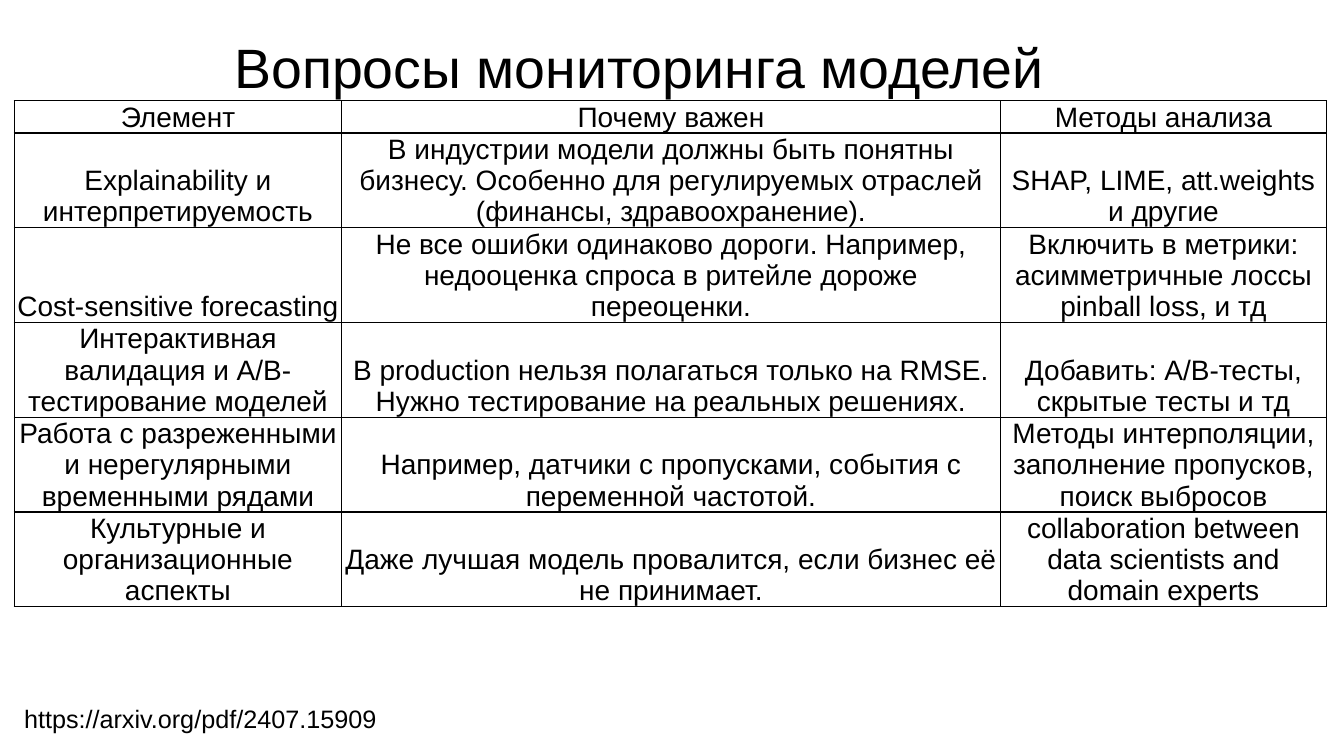
"""Build a slide with a table of model monitoring questions."""
from lxml import etree
from pptx import Presentation
from pptx.dml.color import RGBColor
from pptx.enum.text import MSO_ANCHOR, MSO_AUTO_SIZE, PP_ALIGN
from pptx.oxml.ns import qn
from pptx.util import Inches, Pt

BLACK = RGBColor(0x00, 0x00, 0x00)
CENTER, LEFT = PP_ALIGN.CENTER, PP_ALIGN.LEFT
MIDDLE, BOTTOM = MSO_ANCHOR.MIDDLE, MSO_ANCHOR.BOTTOM
GROW, FIXED = MSO_AUTO_SIZE.SHAPE_TO_FIT_TEXT, MSO_AUTO_SIZE.NONE

ROWS = [
    ("Элемент", "Почему важен", "Методы анализа"),
    ("Explainability и интерпретируемость",
     "В индустрии модели должны быть понятны бизнесу. "
     "Особенно для регулируемых отраслей (финансы, здравоохранение).",
     "SHAP, LIME, att.weights и другие"),
    ("Cost-sensitive forecasting",
     "Не все ошибки одинаково дороги. Например, "
     "недооценка спроса в ритейле дороже переоценки.",
     "Включить в метрики: асимметричные лоссы pinball loss, и тд"),
    ("Интерактивная валидация и A/B-тестирование моделей",
     "В production нельзя полагаться только на RMSE. "
     "Нужно тестирование на реальных решениях.",
     "Добавить: A/B-тесты, скрытые тесты и тд"),
    ("Работа с разреженными и нерегулярными временными рядами",
     "Например, датчики с пропусками, события с переменной частотой.",
     "Методы интерполяции, заполнение пропусков, поиск выбросов"),
    ("Культурные и организационные аспекты",
     "Даже лучшая модель провалится, если бизнес её не принимает.",
     "collaboration between data scientists and domain experts"),
]
WIDTHS = [3.25, 6.53, 3.24]
HEAD, BODY = 0.32, 0.93
CELL = {"margin_left": Inches(0.01), "margin_right": Inches(0.01),
        "margin_top": Inches(0.01), "margin_bottom": 0,
        "vertical_anchor": BOTTOM}


def write(frame, text, size, align):
    frame.text = text
    para = frame.paragraphs[0]
    para.alignment = align
    font = para.runs[0].font
    for key, value in {"name": "Arial", "size": Pt(size), "bold": False}.items():
        setattr(font, key, value)
    font.color.rgb = BLACK
    return para


def edge(cell):
    props = cell._tc.get_or_add_tcPr()
    for side in ("lnL", "lnR", "lnT", "lnB"):
        line = etree.SubElement(props, qn("a:" + side), w=str(Pt(1)))
        fill = etree.SubElement(line, qn("a:solidFill"))
        etree.SubElement(fill, qn("a:srgbClr"), val=str(BLACK))


deck = Presentation()
deck.slide_width, deck.slide_height = Inches(13.33), Inches(7.5)
slide = deck.slides.add_slide(deck.slide_layouts[5])

title = slide.shapes.title
place = {"left": 0.26, "top": 0.4, "width": 12.16, "height": 0.6}
for key, value in place.items():
    setattr(title, key, Inches(value))
frame = title.text_frame
for key, value in {"vertical_anchor": MIDDLE, "auto_size": FIXED}.items():
    setattr(frame, key, value)
write(frame, "Вопросы мониторинга моделей", 39.6, CENTER).line_spacing = 0.9

table = slide.shapes.add_table(
    len(ROWS), len(WIDTHS), Inches(0.14), Inches(1), Inches(sum(WIDTHS)),
    Inches(HEAD + BODY * (len(ROWS) - 1))).table
table.first_row = table.horz_banding = False
for col, width in zip(table.columns, WIDTHS):
    col.width = Inches(width)
for i, (row, texts) in enumerate(zip(table.rows, ROWS)):
    row.height = Inches(BODY if i else HEAD)
    for cell, text in zip(row.cells, texts):
        for key, value in CELL.items():
            setattr(cell, key, value)
        write(cell.text_frame, text, 20, CENTER)
        edge(cell)
        cell.fill.background()

link = slide.shapes.add_textbox(
    Inches(0.14), Inches(6.93), Inches(3.73), Inches(0.4)).text_frame
for key, value in {"word_wrap": False, "auto_size": GROW}.items():
    setattr(link, key, value)
write(link, "https://arxiv.org/pdf/2407.15909", 18, LEFT)

deck.save("out.pptx")
